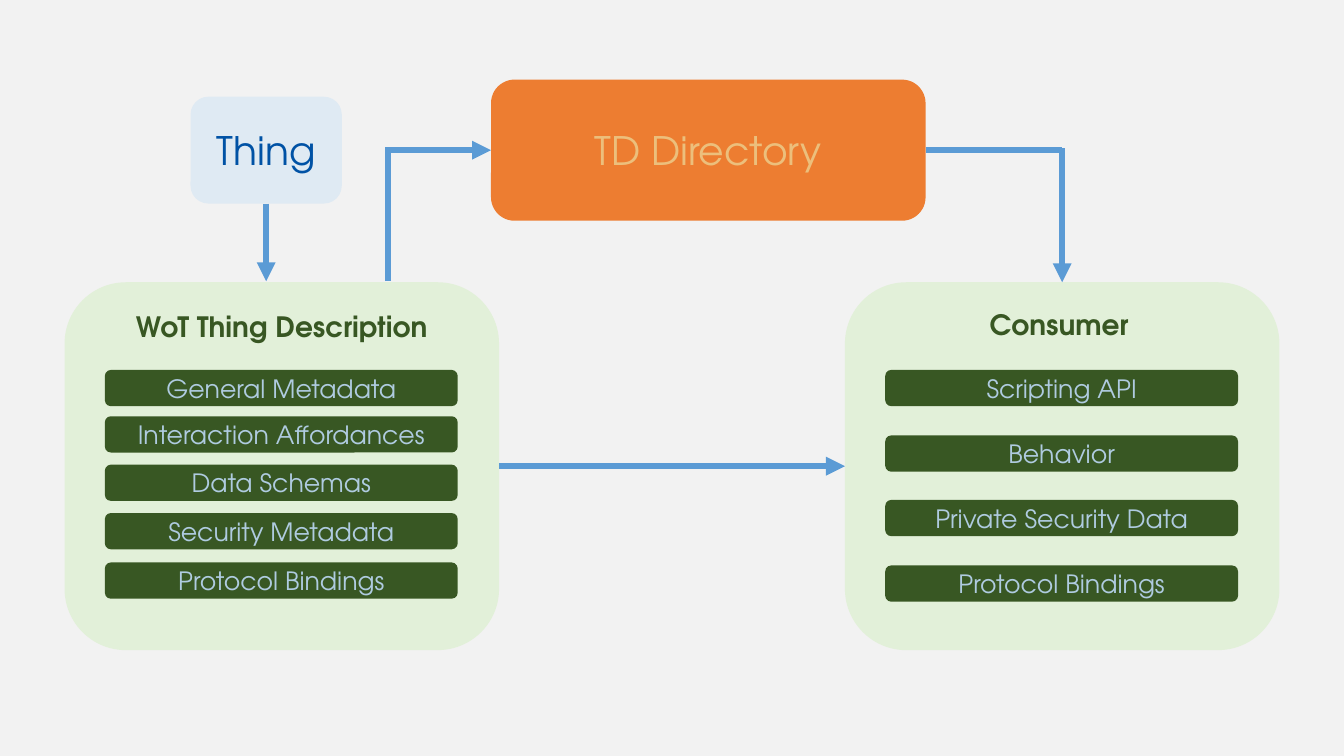
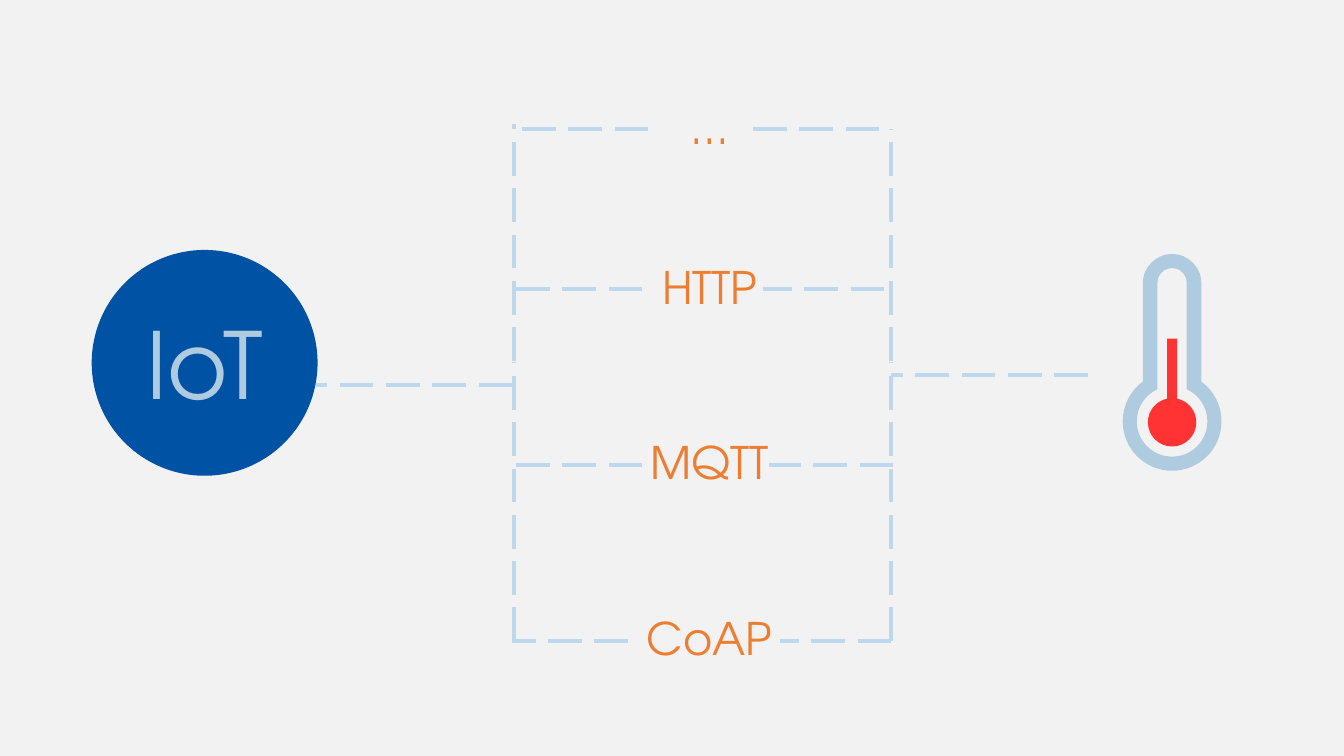
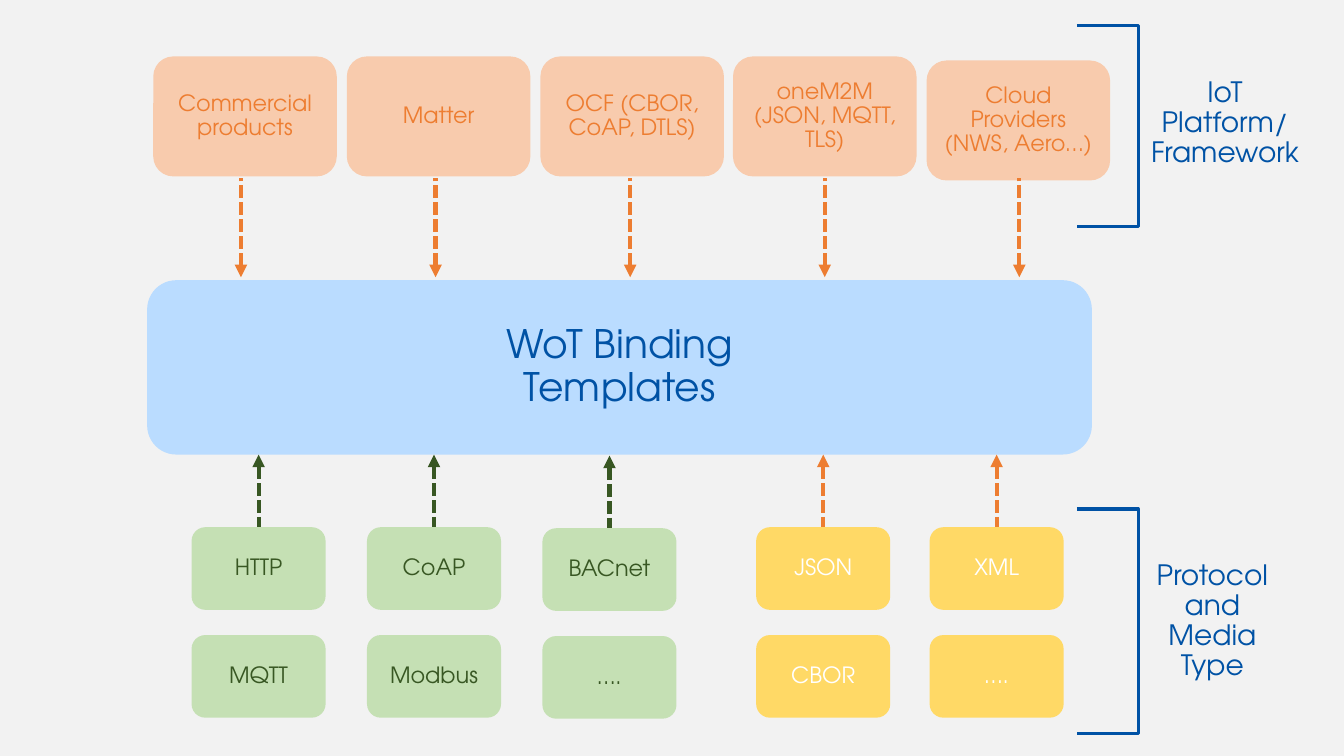
from dataclasses import dataclass
from math import asin, cos, pi, sin, tan
from typing import Optional

from lxml.etree import Element, SubElement
from pptx import Presentation
from pptx.dml.color import RGBColor
from pptx.enum.dml import MSO_LINE
from pptx.enum.shapes import MSO_CONNECTOR, MSO_SHAPE
from pptx.enum.text import MSO_ANCHOR, PP_ALIGN
from pptx.oxml.ns import qn
from pptx.util import Emu, Pt

PX = 9144  # 100 px to the inch
FONT = "TeX Gyre Adventor"

BACKGROUND = "F2F2F2"
NAVY = "0052A5"
STEEL = "AFCBE0"
BLUE = "5B9BD5"
PALE_BLUE = "BDD7EE"
ORANGE = "ED7D31"
PEACH = "F8CBAD"
DARK_GREEN = "385723"
MINT = "E2F0D9"
GREEN = "C5E0B4"
YELLOW = "FFD966"
RED = "FF3333"
WHITE = "FFFFFF"


@dataclass(frozen=True)
class Box:
    x: int
    y: int
    w: int
    h: int

    def emu(self):
        return [px(v) for v in (self.x, self.y, self.w, self.h)]


@dataclass(frozen=True)
class TextStyle:
    size: int
    color: str
    bold: bool = False
    spacing: Optional[float] = 0.9
    margin: int = 10


@dataclass(frozen=True)
class LineStyle:
    color: str
    width: float
    dash: Optional[MSO_LINE] = None


@dataclass(frozen=True)
class Panel:
    """A rounded panel with a title and bars, given as name and top."""
    x: int
    title: str
    title_box: Box
    bars: tuple


@dataclass(frozen=True)
class Protocol:
    """A protocol label and the ends of the dashes on either side of it."""
    name: str
    top: int
    line_y: int
    left: tuple
    right: tuple


@dataclass(frozen=True)
class FormatColumn:
    x: int
    y: int
    names: tuple
    fill: str
    text: str
    arrow: str


@dataclass(frozen=True)
class Node:
    """An outline point; controls are set when a curve leads to it."""
    x: float
    y: float
    controls: tuple = ()


def px(value: float) -> Emu:
    return Emu(round(value * PX))


def rgb(color: str) -> RGBColor:
    return RGBColor.from_string(color)


def new_slide(prs):
    s = prs.slides.add_slide(prs.slide_layouts[6])
    s.background.fill.solid()
    s.background.fill.fore_color.rgb = rgb(BACKGROUND)
    return s


def set_text(sp, text: str, style: TextStyle):
    tf = sp.text_frame
    tf.word_wrap = True
    tf.vertical_anchor = MSO_ANCHOR.MIDDLE
    tf.margin_left = tf.margin_right = px(style.margin)
    tf.margin_top = tf.margin_bottom = px(5)
    tf.text = text
    for p in tf.paragraphs:
        p.alignment = PP_ALIGN.CENTER
        if style.spacing:
            p.line_spacing = style.spacing
        for r in p.runs:
            r.font.name = FONT
            r.font.size = Pt(style.size)
            r.font.bold = style.bold
            r.font.color.rgb = rgb(style.color)


def paint(sp, fill: str):
    sp.shadow.inherit = False
    sp.fill.solid()
    sp.fill.fore_color.rgb = rgb(fill)
    sp.line.fill.background()


def add_block(s, box: Box, fill: str, text: str = "",
              style: Optional[TextStyle] = None,
              kind: MSO_SHAPE = MSO_SHAPE.ROUNDED_RECTANGLE):
    sp = s.shapes.add_shape(kind, *box.emu())
    paint(sp, fill)
    if style:
        set_text(sp, text, style)
    return sp


def add_label(s, box: Box, text: str, style: TextStyle):
    set_text(s.shapes.add_textbox(*box.emu()), text, style)


def add_line(s, start: tuple, end: tuple, style: LineStyle, arrow: str = ""):
    """Draw a straight line; arrow is headEnd (at start) or tailEnd (at end)."""
    c = s.shapes.add_connector(MSO_CONNECTOR.STRAIGHT,
                               *[px(v) for v in (*start, *end)])
    c.line.color.rgb = rgb(style.color)
    c.line.width = Pt(style.width)
    if style.dash:
        c.line.dash_style = style.dash
    if arrow:
        SubElement(c.line._get_or_add_ln(), qn("a:" + arrow), type="triangle")
    SubElement(c._element.spPr, qn("a:effectLst"))
    return c


def add_panel(s, panel: Panel):
    body = add_block(s, Box(panel.x, 280, 431, 365), MINT)
    add_label(s, panel.title_box, panel.title, TextStyle(20, DARK_GREEN, bold=True))
    for name, top in panel.bars:
        add_block(s, Box(panel.x + 40, top, 350, 36),
                  DARK_GREEN, name, TextStyle(18, STEEL, spacing=None))
    return body


def description_slide(prs):
    s = new_slide(prs)
    flow = LineStyle(BLUE, 4.5)
    description = add_panel(s, Panel(
        64, "WoT Thing Description", Box(108, 300, 343, 52),
        (("General Metadata", 367), ("Interaction Affordances", 413),
         ("Data Schemas", 461), ("Security Metadata", 509),
         ("Protocol Bindings", 558))))
    consumer = add_panel(s, Panel(
        838, "Consumer", Box(914, 300, 273, 48),
        (("Scripting API", 367), ("Behavior", 432),
         ("Private Security Data", 496), ("Protocol Bindings", 561))))
    thing = add_block(s, Box(189, 96, 150, 106), "DFEAF3", "Thing",
                      TextStyle(28, NAVY, spacing=None))
    directory = add_block(s, Box(487, 79, 431, 140), ORANGE, "TD Directory",
                          TextStyle(28, "ECBF7C", spacing=None))

    add_line(s, (385, 279), (385, 146), flow)
    c = add_line(s, (382, 149), (487, 149), flow, "tailEnd")
    c.end_connect(directory, 1)
    c = add_line(s, (264, 202), (264, 279), flow, "tailEnd")
    c.begin_connect(thing, 2)
    turn = 838 + 431 / 2
    c = add_line(s, (turn, 280), (turn, 147), flow, "headEnd")
    c.begin_connect(consumer, 0)
    c = add_line(s, (918, 149), (turn, 149), flow)
    c.begin_connect(directory, 3)
    c = add_line(s, (495, 462.5), (838, 462.5), flow, "tailEnd")
    c.begin_connect(description, 3)
    c.end_connect(consumer, 1)


def arc(cx: float, cy: float, radius: float, angles: list) -> list:
    """Nodes of a clockwise arc through angles measured from the top."""
    nodes = []
    for i, a in enumerate(angles):
        x, y = cx + radius * sin(a), cy - radius * cos(a)
        controls = ()
        if i:
            b = angles[i - 1]
            pull = radius * 4 / 3 * tan((a - b) / 4)
            controls = ((nodes[-1].x + pull * cos(b), nodes[-1].y + pull * sin(b)),
                        (x - pull * cos(a), y - pull * sin(a)))
        nodes.append(Node(x, y, controls))
    return nodes


def keyhole(cx: float, cy: float, radius: float, half: float, top: float,
            rounded: bool) -> list:
    """Outline of a bulb with a stem on it, the stem ending flat or rounded."""
    gap = asin(half / radius)
    bulb = arc(cx, cy, radius, [gap, pi / 2, pi, 3 * pi / 2, 2 * pi - gap])
    if rounded:
        return bulb + arc(cx, top + half, half, [-pi / 2, 0, pi / 2])
    return bulb + [Node(cx - half, top), Node(cx + half, top)]


def add_outline(s, contours: list, fill: str):
    """Draw closed contours as one shape, turning lines into curves as needed."""
    start = contours[0][0]
    fb = s.shapes.build_freeform(px(start.x), px(start.y), scale=1.0)
    for i, nodes in enumerate(contours):
        if i:
            fb.move_to(px(nodes[0].x), px(nodes[0].y))
        fb.add_line_segments([(px(n.x), px(n.y)) for n in nodes[1:]], close=True)
    left, top = fb.shape_offset_x, fb.shape_offset_y
    sp = fb.convert_to_shape()
    paint(sp, fill)
    drawn = [n for nodes in contours for n in nodes[1:]]
    segments = list(sp._element.spPr.iter(qn("a:lnTo")))
    for segment, node in zip(segments, drawn):
        if node.controls:
            segment.tag = qn("a:cubicBezTo")
            for i, (x, y) in enumerate(node.controls):
                segment.insert(i, Element(qn("a:pt"), x=str(px(x) - left),
                                          y=str(px(y) - top)))


def protocols_slide(prs):
    s = new_slide(prs)
    dashed = LineStyle(PALE_BLUE, 3, MSO_LINE.LONG_DASH)
    add_block(s, Box(91, 248, 224, 224), NAVY, "IoT",
              TextStyle(66, STEEL, spacing=None), MSO_SHAPE.OVAL)

    for x, top in ((510, 123), (884, 128)):
        add_line(s, (x, 358), (x, top), dashed)
        add_line(s, (x, 636), (x, 359), dashed)
    add_line(s, (1079, 372), (884, 372), dashed)
    add_line(s, (508, 382), (313, 382), dashed)

    for protocol in (
        Protocol("…", 99, 128, (643, 516), (872, 736)),
        Protocol("HTTP", 258, 287, (637, 510), (877, 757)),
        Protocol("MQTT", 432, 461, (637, 510), (886, 763)),
        Protocol("CoAP", 606, 636, (623, 508), (884, 774)),
    ):
        add_label(s, Box(631, protocol.top, 146, 59), protocol.name,
                  TextStyle(32, ORANGE, margin=0))
        for start, end in (protocol.left, protocol.right):
            add_line(s, (start, protocol.line_y), (end, protocol.line_y), dashed)

    middle = 1162.5
    add_outline(s, [keyhole(middle, 418, 49, 29, 252, True),
                    keyhole(middle, 418, 35, 14.5, 266, True)], STEEL)
    add_outline(s, [keyhole(middle, 419, 24, 5, 336, False)], RED)


def bindings_slide(prs):
    s = new_slide(prs)
    add_block(s, Box(146, 278, 937, 173), "BADCFF",
              "WoT Binding\nTemplates", TextStyle(28, NAVY))

    platforms = ("Commercial products", "Matter", "OCF (CBOR, CoAP, DTLS)",
                 "oneM2M (JSON, MQTT, TLS)", "Cloud Providers (NWS, Aero…)")
    for i, name in enumerate(platforms):
        y = 60 if i == len(platforms) - 1 else 56
        add_block(s, Box(round(152 + 191.75 * i), y, 182, 119), PEACH, name,
                  TextStyle(16, ORANGE, margin=5))
        x = 239 + 193 * i
        add_line(s, (x, 275), (x, 177),
                 LineStyle(ORANGE, 3, MSO_LINE.SQUARE_DOT), "headEnd")

    green = (GREEN, DARK_GREEN, DARK_GREEN)
    yellow = (YELLOW, WHITE, ORANGE)
    for column in (
        FormatColumn(190, 523, ("HTTP", "MQTT"), *green),
        FormatColumn(364, 523, ("CoAP", "Modbus"), *green),
        FormatColumn(538, 524, ("BACnet", "…."), *green),
        FormatColumn(750, 523, ("JSON", "CBOR"), *yellow),
        FormatColumn(922, 523, ("XML", "…."), *yellow),
    ):
        upper, _ = [
            add_block(s, Box(column.x, column.y + 107 * row, 133, 82),
                      column.fill, name, TextStyle(16, column.text, margin=5))
            for row, name in enumerate(column.names)]
        x = column.x + 133 / 2
        c = add_line(s, (x, column.y - 72), (x, column.y),
                     LineStyle(column.arrow, 3, MSO_LINE.SQUARE_DOT), "headEnd")
        c.end_connect(upper, 0)

    for bracket, box, text in (
        (Box(1068, 25, 61, 200), Box(1128, 72, 174, 101),
         "IoT\nPlatform/\nFramework"),
        (Box(1068, 505, 61, 223), Box(1129, 551, 147, 131),
         "Protocol\nand\nMedia Type"),
    ):
        sp = s.shapes.add_shape(MSO_SHAPE.RIGHT_BRACKET, *bracket.emu())
        sp.shadow.inherit = False
        sp.adjustments[0] = 0
        sp.fill.background()
        sp.line.color.rgb = rgb(NAVY)
        sp.line.width = Pt(2.25)
        add_label(s, box, text, TextStyle(20, NAVY))


def main():
    prs = Presentation()
    prs.slide_width, prs.slide_height = px(1333), px(750)
    description_slide(prs)
    protocols_slide(prs)
    bindings_slide(prs)
    prs.save("out.pptx")


if __name__ == "__main__":
    main()
